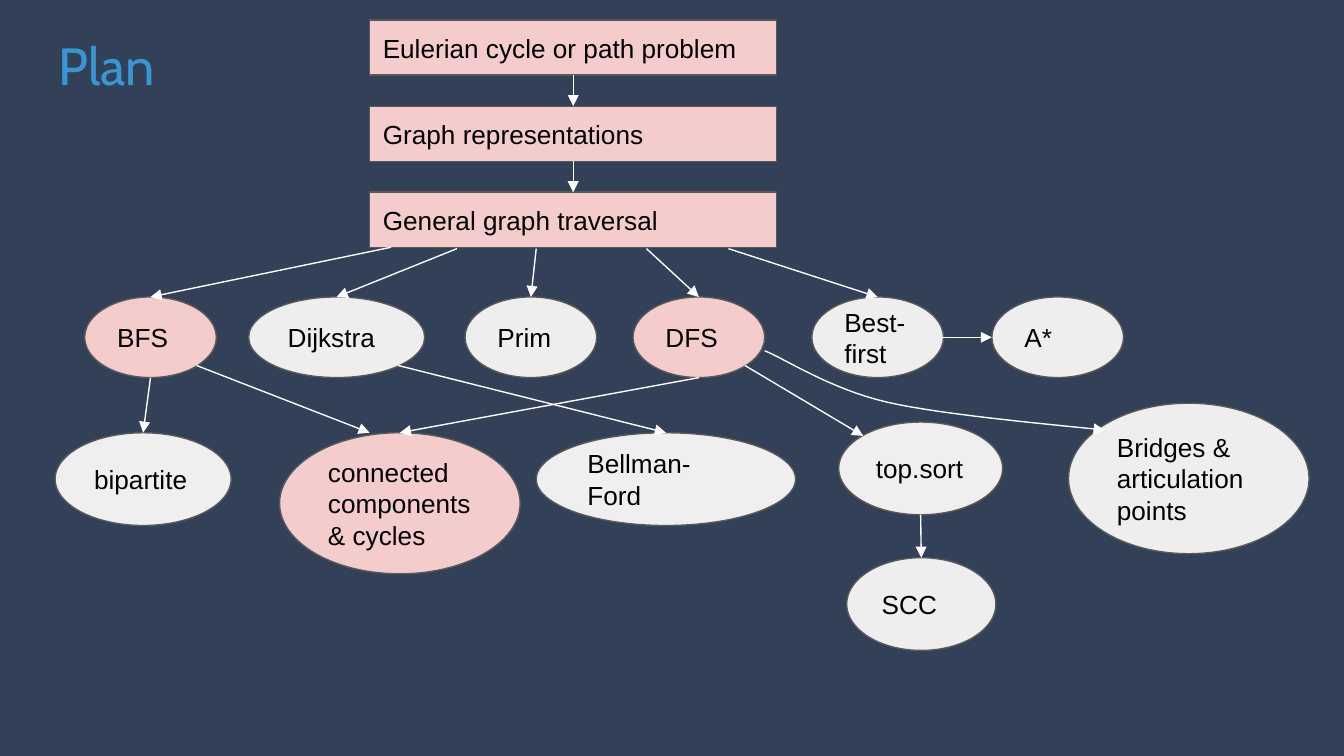
from lxml import etree
from pptx import Presentation, util as u
from pptx.dml.color import RGBColor
from pptx.enum import shapes, text
from pptx.oxml.ns import qn

ROSE, GREY, PALE = "F4CCCC", "EEEEEE", "EFEFEF"
BACKGROUND, OUTLINE, ARROW, TITLE, INK = "324158", "595959", "FFFFFF", "3896D2", "000000"

STEPS = ["Eulerian cycle or path problem", "Graph representations",
         "General graph traversal"]
STEP_LEFT, STEP_TOP, STEP_PITCH, STEP_WIDTH, STEP_HEIGHT = 2.75, 0.15, 0.64, 3.03, 0.41

# text, fill, left, width
ALGORITHMS = [
    ("BFS", ROSE, 0.63, 0.98),
    ("Dijkstra", GREY, 1.85, 1.31),
    ("Prim", GREY, 3.46, 0.98),
    ("DFS", ROSE, 4.71, 0.98),
    ("Best-first", GREY, 6.04, 0.98),
    ("A*", GREY, 7.38, 0.98),
]
ALGORITHM_TOP, ALGORITHM_HEIGHT = 2.21, 0.6

# text, fill, left, top, width, height
APPLICATIONS = [
    ("bipartite", PALE, 0.41, 3.22, 1.31, 0.69),
    ("connected\vcomponents & cycles", ROSE, 2.08, 3.22, 1.79, 1.05),
    ("Bellman-Ford", PALE, 3.99, 3.22, 1.93, 0.69),
    ("top.sort", PALE, 6.24, 3.14, 1.22, 0.69),
    ("SCC", GREY, 6.3, 4.15, 1.11, 0.69),
    ("Bridges & articulation points", GREY, 7.95, 3, 1.79, 1.12),
]

# Places on an ellipse, as fractions of its width and height
SITES = {"bottom": (0.5, 1), "left": (0, 0.5), "right": (1, 0.5),
         "upper left": (0.15, 0.15), "lower right": (0.85, 0.85)}

# start (a point, or a node and a site), end (a node's top unless a site or point)
ARROWS = [
    ((2.91, 1.84), "BFS"),
    ((3.4, 1.85), "Dijkstra"),
    ((3.99, 1.85), "Prim"),
    ((4.81, 1.85), "DFS"),
    ((5.42, 1.85), "Best-first"),
    (("BFS", "bottom"), "bipartite"),
    (("BFS", "lower right"), (2.75, 3.22)),
    (("DFS", "bottom"), "connected\vcomponents & cycles"),
    (("Best-first", "right"), ("A*", "left")),
    (("Dijkstra", "lower right"), "Bellman-Ford"),
    (("DFS", "lower right"), ("top.sort", "upper left")),
    (("top.sort", "bottom"), "SCC"),
]

# Bezier pieces from DFS to the bridges: start, two controls, end
CURVE = [
    ((5.69, 2.61), (5.84, 2.67), (6.17, 2.89), (6.59, 2.99)),
    ((6.59, 2.99), (7.01, 3.09), (7.95, 3.17), (8.22, 3.2)),
]
CURVE_STEPS = 16


def color(value):
    return RGBColor.from_string(value)


def write(shape, words, font, size, ink, anchor):
    frame = shape.text_frame
    frame.word_wrap = True
    frame.vertical_anchor = anchor
    frame.margin_left = frame.margin_right = u.Inches(0.1)
    frame.margin_top = frame.margin_bottom = u.Inches(0.1)
    para = frame.paragraphs[0]
    para.text = words
    para.alignment = text.PP_ALIGN.LEFT
    para.font.name, para.font.size = font, u.Pt(size)
    para.font.color.rgb = color(ink)


def add_node(preset, words, fill, *place):
    node = slide.shapes.add_shape(preset, *map(u.Inches, place))
    node.shadow.inherit = False
    node.fill.solid()
    node.fill.fore_color.rgb = color(fill)
    node.line.color.rgb = color(OUTLINE)
    node.line.width = u.Pt(0.75)
    write(node, words, "Arial", 14, INK, text.MSO_ANCHOR.MIDDLE)
    return node


def style_arrow(shape):
    shape.line.color.rgb = color(ARROW)
    shape.line.width = u.Pt(0.75)
    etree.SubElement(shape.line._get_or_add_ln(), qn("a:tailEnd"), type="triangle")


def add_arrow(start=(0, 0), end=(0, 0)):
    arrow = slide.shapes.add_connector(
        shapes.MSO_CONNECTOR.STRAIGHT, *map(u.Inches, (*start, *end)))
    style_arrow(arrow)
    etree.SubElement(arrow._element.spPr, qn("a:effectLst"))
    return arrow


def locate(place):
    """Return a point in inches for a point or a (node, site) pair."""
    if place[0] not in nodes:
        return place
    node = nodes[place[0]]
    across, down = SITES[place[1]]
    return ((node.left + across * node.width) / u.Inches(1),
            (node.top + down * node.height) / u.Inches(1))


def bezier(points, t):
    """Return the point at t on a cubic curve, in whole length units."""
    weights = ((1 - t) ** 3, 3 * t * (1 - t) ** 2, 3 * t * t * (1 - t), t ** 3)
    return tuple(u.Inches(sum(w * p[axis] for w, p in zip(weights, points)))
                 for axis in (0, 1))


deck = Presentation()
deck.slide_width = u.Inches(10)
deck.slide_height = u.Inches(10 * 9 / 16)
slide = deck.slides.add_slide(deck.slide_layouts[6])
slide.background.fill.solid()
slide.background.fill.fore_color.rgb = color(BACKGROUND)

title = slide.shapes.add_textbox(*map(u.Inches, (0.34, 0.15, 9.32, 0.63)))
write(title, "Plan", "Cabin", 28, TITLE, text.MSO_ANCHOR.TOP)

steps = [add_node(shapes.MSO_SHAPE.RECTANGLE, words, ROSE, STEP_LEFT,
                  STEP_TOP + row * STEP_PITCH, STEP_WIDTH, STEP_HEIGHT)
         for row, words in enumerate(STEPS)]
for upper, lower in zip(steps, steps[1:]):
    arrow = add_arrow()
    arrow.begin_connect(upper, 2)
    arrow.end_connect(lower, 0)

nodes = {}
for words, fill, left, width in ALGORITHMS:
    nodes[words] = add_node(shapes.MSO_SHAPE.OVAL, words, fill, left,
                            ALGORITHM_TOP, width, ALGORITHM_HEIGHT)
for words, fill, *place in APPLICATIONS:
    nodes[words] = add_node(shapes.MSO_SHAPE.OVAL, words, fill, *place)

for start, end in ARROWS:
    if isinstance(end, str):
        arrow = add_arrow(locate(start))
        arrow.end_connect(nodes[end], 0)
    else:
        add_arrow(locate(start), locate(end))

points = [bezier(piece, step / CURVE_STEPS)
          for piece in CURVE for step in range(1, CURVE_STEPS + 1)]
builder = slide.shapes.build_freeform(*bezier(CURVE[0], 0))
builder.add_line_segments(points, close=False)
curve = builder.convert_to_shape()
curve.shadow.inherit = False
curve.fill.background()
style_arrow(curve)

deck.save("out.pptx")
